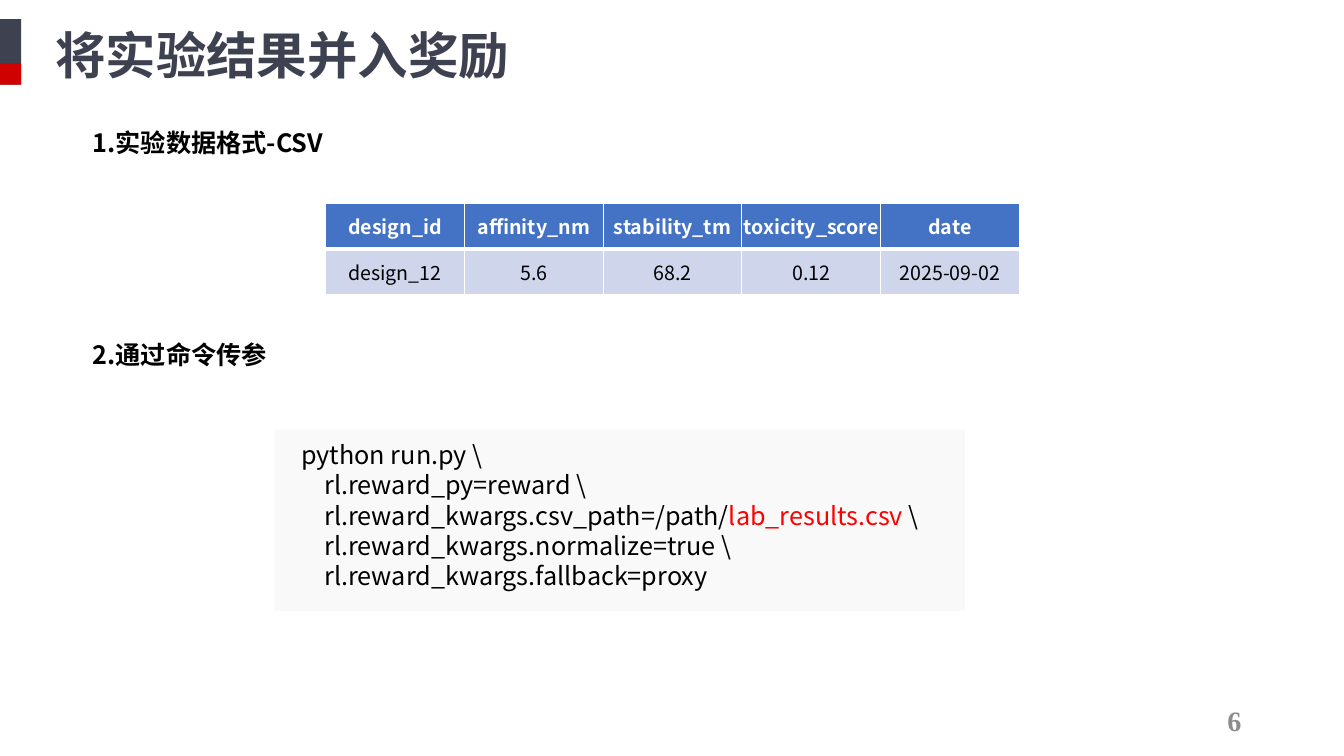
from pptx import Presentation
from pptx.dml.color import RGBColor
from pptx.enum.shapes import MSO_SHAPE
from pptx.enum.text import MSO_ANCHOR, PP_ALIGN
from pptx.oxml.ns import qn
from pptx.util import Inches, Pt
from lxml.etree import SubElement

# Content
TITLE = "将实验结果并入奖励"
HEADINGS = ["1.实验数据格式-CSV", "2.通过命令传参"]
TABLE_ROWS = [
    ["design_id", "affinity_nm", "stability_tm", "toxicity_score", "date"],
    ["design_12", "5.6", "68.2", "0.12", "2025-09-02"],
]
# Each command line: indent level, then its (text, colour) runs
COMMAND = [
    (0, [("python run.py \\", "black")]),
    (1, [("rl.reward_py=reward \\", "black")]),
    (1, [("rl.reward_kwargs.csv_path=/path/", "black"),
         ("lab_results.csv ", "highlight"), ("\\", "black")]),
    (1, [("rl.reward_kwargs.normalize=true \\", "black")]),
    (1, [("rl.reward_kwargs.fallback=proxy", "black")]),
]
PAGE_NUMBER = "6"

COLORS = {
    "slate": "3E4150", "red": "CF0101", "panel": "F9F9F9", "grey": "8C8C8C",
    "black": "000000", "highlight": "FF0000", "white": "FFFFFF",
    "header": "4472C4", "band": "CFD5EA",
}
SANS, SERIF = "Noto Sans CJK SC", "Times New Roman"

# Layout in inches
WIDTH, HEIGHT = 13.33, 7.5
HEADING_LEFT, HEADING_TOPS = 0.82, [1.21, 3.32]
TABLE_LEFT, TABLE_TOP = 3.23, 2.02
COLUMN_WIDTH, ROW_HEIGHT = 1.376, 0.45
CODE_INDENT = 0.23

presentation = Presentation()
presentation.slide_width, presentation.slide_height = Inches(WIDTH), Inches(HEIGHT)
slide = presentation.slides.add_slide(presentation.slide_layouts[6])


def color(name):
    return RGBColor.from_string(COLORS[name])


def add_run(paragraph, text, size=18, font=SANS, fill="black", bold=False):
    run = paragraph.add_run()
    run.text = text
    run.font.size, run.font.name, run.font.bold = Pt(size), font, bold
    run.font.color.rgb = color(fill)
    east_asian = SubElement(run.font._element, qn("a:ea"))
    east_asian.set("typeface", font)


def add_block(left, top, width, height, fill):
    shape = slide.shapes.add_shape(
        MSO_SHAPE.RECTANGLE, *map(Inches, (left, top, width, height)))
    shape.shadow.inherit = False
    shape.fill.solid()
    shape.fill.fore_color.rgb = color(fill)
    shape.line.fill.background()


def add_text(left, top, width, height, lines, wrap=True, align=PP_ALIGN.LEFT,
             anchor=MSO_ANCHOR.TOP, **style):
    box = slide.shapes.add_textbox(*map(Inches, (left, top, width, height)))
    frame = box.text_frame
    frame.word_wrap, frame.vertical_anchor = wrap, anchor
    for index, (level, runs) in enumerate(lines):
        paragraph = frame.add_paragraph() if index else frame.paragraphs[0]
        paragraph.alignment = align
        if level:
            paragraph._p.get_or_add_pPr().set("marL", str(Inches(level * CODE_INDENT)))
        for text, fill in runs:
            add_run(paragraph, text, fill=fill, **style)


def add_border(cell, side, width):
    line = SubElement(cell._tc.get_or_add_tcPr(), qn(f"a:{side}"), w=str(Pt(width)))
    fill = SubElement(line, qn("a:solidFill"))
    SubElement(fill, qn("a:srgbClr"), val=COLORS["white"])


# Command panel and title marker
add_block(2.72, 4.26, 6.85, 1.8, "panel")
add_block(0, 0.19, 0.21, 0.65, "slate")
add_block(0, 0.63, 0.21, 0.21, "red")

# Title, headings and page number
add_text(0.45, 0.19, 4.7, 0.71, [(0, [(TITLE, "slate")])],
         wrap=False, size=36, bold=True)
for heading, top in zip(HEADINGS, HEADING_TOPS):
    add_text(HEADING_LEFT, top, 3.89, 0.4, [(0, [(heading, "black")])], bold=True)
add_text(11.75, 6.95, 0.66, 0.4, [(0, [(PAGE_NUMBER, "grey")])],
         align=PP_ALIGN.RIGHT, anchor=MSO_ANCHOR.MIDDLE, size=20, font=SERIF, bold=True)

# Data table
row_count, column_count = len(TABLE_ROWS), len(TABLE_ROWS[0])
table = slide.shapes.add_table(
    row_count, column_count, Inches(TABLE_LEFT), Inches(TABLE_TOP),
    Inches(column_count * COLUMN_WIDTH), Inches(row_count * ROW_HEIGHT)).table
for row_index, values in enumerate(TABLE_ROWS):
    is_header = row_index == 0
    for column_index, value in enumerate(values):
        cell = table.cell(row_index, column_index)
        cell.margin_left = cell.margin_right = cell.margin_top = cell.margin_bottom = 0
        cell.vertical_anchor = MSO_ANCHOR.MIDDLE
        for side in ("lnL", "lnR", "lnT", "lnB"):
            at_divider = side == ("lnB" if is_header else "lnT")
            add_border(cell, side, 3 if at_divider else 1)
        cell.fill.solid()
        cell.fill.fore_color.rgb = color("header" if is_header else "band")
        paragraph = cell.text_frame.paragraphs[0]
        paragraph.alignment = PP_ALIGN.CENTER
        add_run(paragraph, value, size=14, bold=is_header,
                fill="white" if is_header else "black")

# Command
add_text(2.89, 4.31, 6.43, 1.61, COMMAND)

presentation.save("out.pptx")
